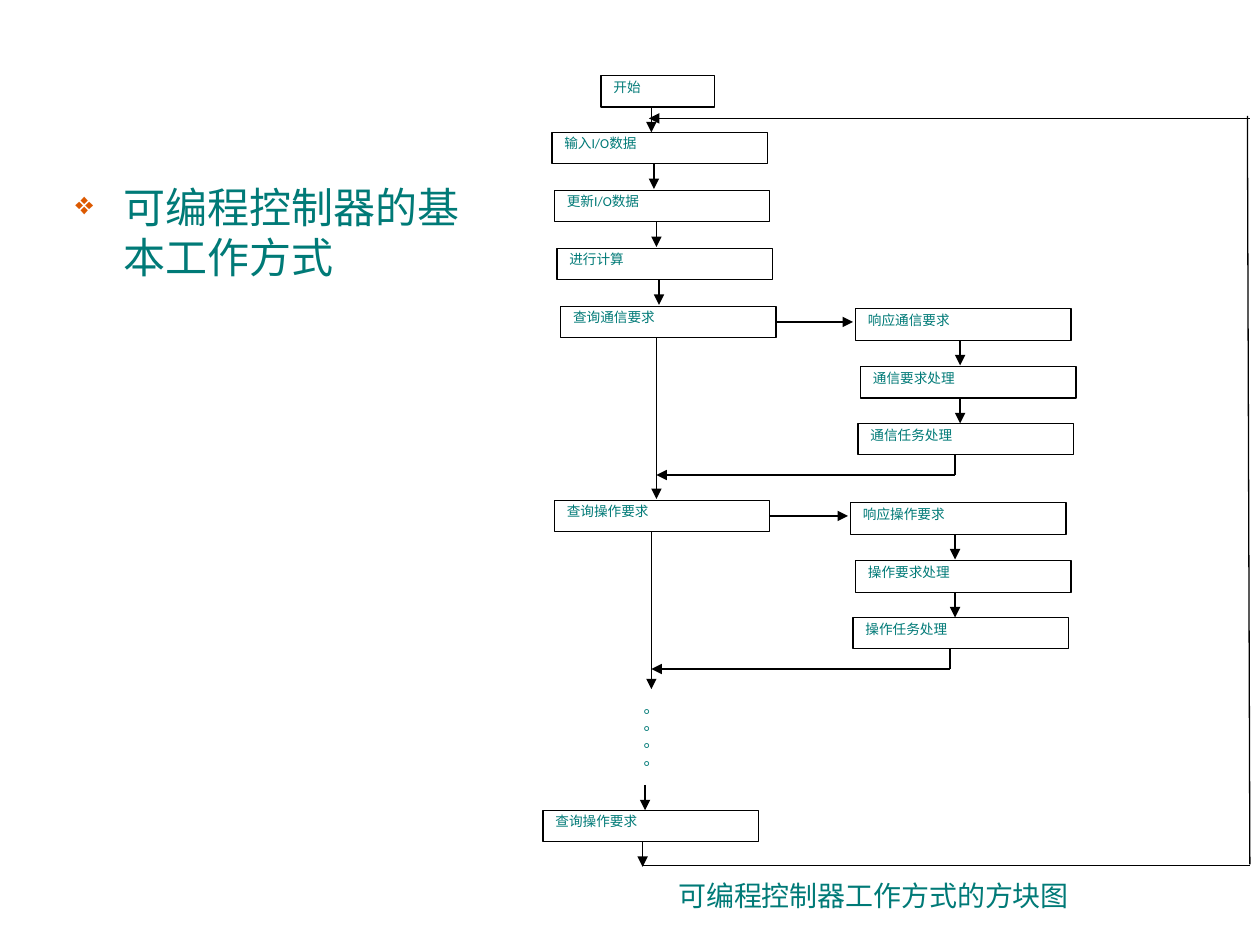
import pptx
import pptx.util
import pptx.dml.color
import pptx.enum.shapes
import pptx.enum.text
import pptx.oxml
import pptx.oxml.ns

Inches = pptx.util.Inches
Align = pptx.enum.text.PP_ALIGN


def color(code):
    return pptx.dml.color.RGBColor.from_string(code)


def add_xml(parent, body):
    tag, _, rest = body.partition(" ")
    ns = pptx.oxml.ns.nsdecls("a")
    parent.append(pptx.oxml.parse_xml(f"<a:{tag} {ns} {rest}/>"))


class Chart:
    """Hold the style and the slide, and draw the parts of a flow chart."""

    ink, edge, paper, mark = "007A77", "000000", "FFFFFF", "DC5900"
    wide, high = 1.71, 0.25

    def __init__(self, slide):
        self.slide = slide

    def label(self, shape, text, size, face="Calibri", align=None, gap=None, bullet=None):
        frame = shape.text_frame
        frame.word_wrap = True
        frame.vertical_anchor = pptx.enum.text.MSO_ANCHOR.TOP
        para = frame.paragraphs[0]
        para.text = text
        para.alignment = align
        if gap:
            para.line_spacing = gap
        if bullet:
            props = para._p.get_or_add_pPr()
            props.set("marL", str(Inches(0.38)))
            props.set("indent", str(Inches(-0.38)))
            add_xml(props, "buClr")
            add_xml(props[-1], f'srgbClr val="{self.mark}"')
            add_xml(props, 'buSzPct val="75000"')
            add_xml(props, f'buChar char="{bullet}"')
        para.font.size = pptx.util.Pt(size)
        para.font.name = face
        para.font.color.rgb = color(self.ink)

    def text(self, x, y, w, h, words, size, **style):
        box = self.slide.shapes.add_textbox(Inches(x), Inches(y), Inches(w), Inches(h))
        self.label(box, words, size, **style)

    def box(self, x, y, words, w=wide):
        kind = pptx.enum.shapes.MSO_SHAPE.RECTANGLE
        box = self.slide.shapes.add_shape(kind, Inches(x), Inches(y), Inches(w), Inches(self.high))
        box.shadow.inherit = False
        box.fill.solid()
        box.fill.fore_color.rgb = color(self.paper)
        box.line.color.rgb = color(self.edge)
        box.line.width = pptx.util.Pt(0.75)
        self.label(box, words, 7.8, align=Align.JUSTIFY, gap=0.8)
        return box

    def line(self, x1, y1, x2, y2, head=True):
        kind = pptx.enum.shapes.MSO_CONNECTOR.STRAIGHT
        line = self.slide.shapes.add_connector(kind, Inches(x1), Inches(y1), Inches(x2), Inches(y2))
        line.line.color.rgb = color(self.edge)
        line.line.width = pptx.util.Pt(0.75)
        if head:
            add_xml(line.line._get_or_add_ln(), 'tailEnd type="triangle"')
        add_xml(line._element.spPr, "effectLst")
        return line

    def down(self, x, y, size=0.2):
        self.line(x, y, x, y + size)

    def branch(self, box, x):
        y = (box.top + box.height / 2) / Inches(1)
        self.line((box.left + box.width) / Inches(1), y, x, y).begin_connect(box, 3)

    def back(self, x, y, end):
        self.line(x, y, x, y + 0.16, head=False)
        self.line(x, y + 0.16, end, y + 0.16)


def main():
    deck = pptx.Presentation()
    deck.slide_width, deck.slide_height = Inches(10), Inches(7.5)
    chart = Chart(deck.slides.add_slide(deck.slide_layouts[6]))

    chart.text(0.5, 1.39, 3.25, 5.41, "可编程控制器的基本工作方式", 24, face="Arial", bullet="❖")

    chart.box(4.77, 0.6, "开始", w=0.9)
    for x, y, words in [
        (4.38, 1.05, "输入I/O数据"),
        (4.4, 1.51, "更新I/O数据"),
        (4.42, 1.97, "进行计算"),
        (4.31, 6.43, "查询操作要求"),
    ]:
        chart.box(x, y, words)
    for x, y in [(5.17, 0.85), (5.19, 1.3), (5.21, 1.76), (5.23, 2.22), (5.12, 6.23), (5.1, 6.68)]:
        chart.down(x, y)

    for topic, left, top, right, main_x, drop in [
        ("通信", 4.45, 2.43, 6.79, 5.21, 1.28),
        ("操作", 4.4, 3.97, 6.75, 5.17, 1.25),
    ]:
        query = chart.box(left, top, f"查询{topic}要求")
        chart.branch(query, right - 0.02)
        chart.box(right, top + 0.02, f"响应{topic}要求")
        chart.box(right + 0.04, top + 0.48, f"{topic}要求处理")
        chart.box(right + 0.02, top + 0.93, f"{topic}任务处理")
        for step in (0.27, 0.73):
            chart.down(right + 0.83, top + step)
        chart.down(main_x, top + 0.25, drop)
        chart.back(right + 0.79, top + 1.18, main_x)

    chart.text(5.01, 5.5, 0.26, 0.74, "。。。。", 9.2, align=Align.JUSTIFY, gap=0.9)
    chart.line(5.1, 6.87, 9.92, 6.87, head=False)
    chart.line(9.92, 6.86, 9.9, 0.92, head=False)
    chart.line(9.92, 0.94, 5.15, 0.94)
    chart.text(4.6, 6.92, 4.67, 0.48, "可编程控制器工作方式的方块图", 16, align=Align.CENTER)

    deck.save("out.pptx")


if __name__ == "__main__":
    main()
